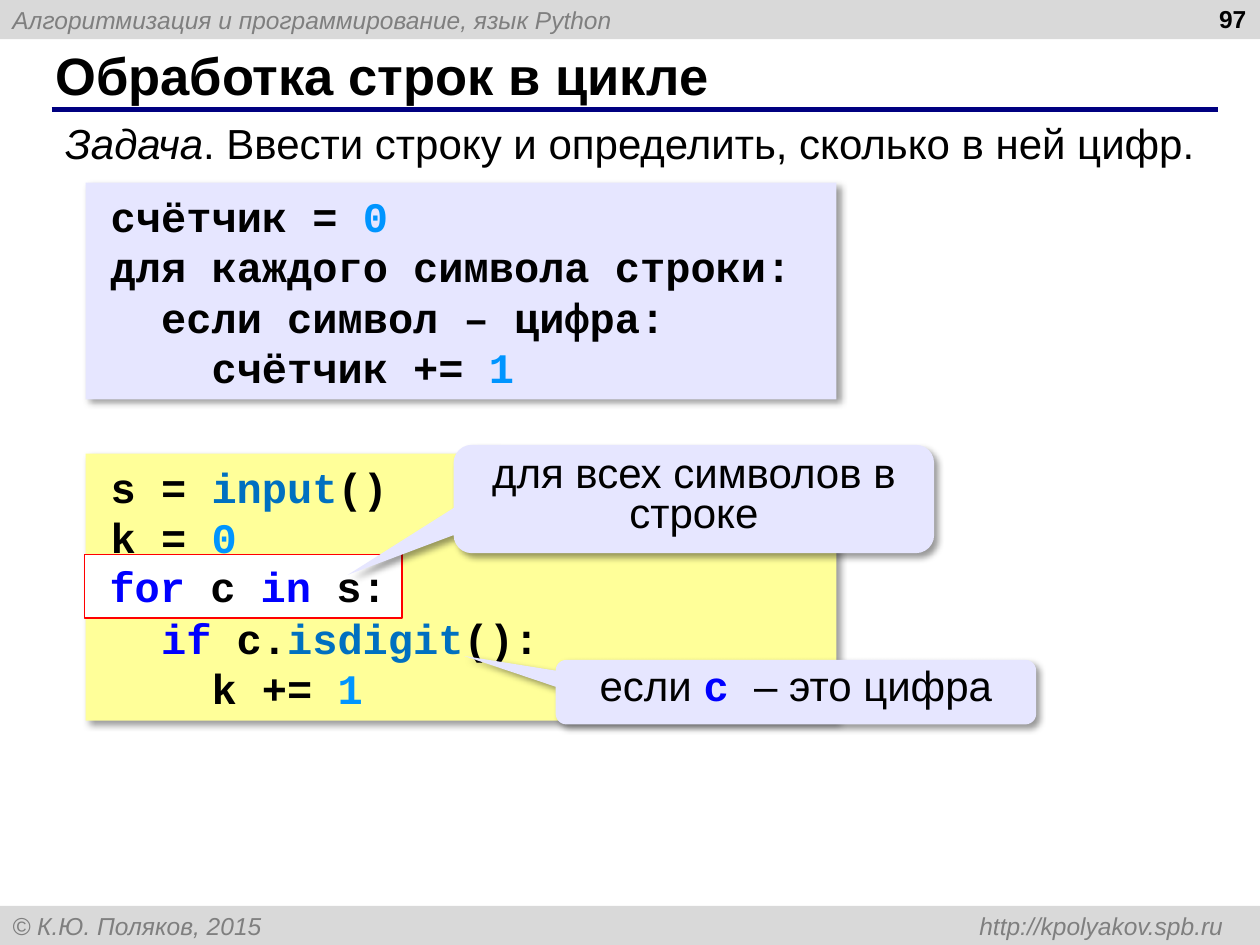
from pptx import Presentation
from pptx.dml.color import RGBColor
from pptx.enum.shapes import MSO_CONNECTOR, MSO_SHAPE as SHAPE
from pptx.enum.text import MSO_ANCHOR as ANCHOR, MSO_AUTO_SIZE as FIT, PP_ALIGN as ALIGN
from pptx.oxml import parse_xml
from pptx.oxml.ns import nsdecls
from pptx.oxml.xmlchemy import OxmlElement
from pptx.util import Pt

BLACK = RGBColor(0, 0, 0)
WHITE = RGBColor(255, 255, 255)
GRAY = RGBColor(0x7F, 0x7F, 0x7F)
BAND = RGBColor(0xD9, 0xD9, 0xD9)
NAVY = RGBColor(0, 0, 0x80)
RED = RGBColor(255, 0, 0)
LILAC = RGBColor(0xE6, 0xE6, 0xFF)
YELLOW = RGBColor(0xFF, 0xFF, 0x99)
KEYWORD = RGBColor(0, 0, 255)
NUMBER = RGBColor(0, 0x95, 0xFF)
FUNCTION = RGBColor(0, 0x70, 0xC0)
SANS, MONO = "Arial", "Courier New"
WIDTH, HEIGHT, BAND_HEIGHT = 720, 540, 22.4


def points(box):
    return [Pt(length) for length in box]


def add_run(paragraph, text, size=24, font=SANS, color=BLACK, bold=False, italic=False):
    run = paragraph.add_run()
    run.text = text
    run.font.size, run.font.name = Pt(size), font
    run.font.bold, run.font.italic = bold, italic
    run.font.color.rgb = color


def set_indent(paragraph, left, first):
    properties = paragraph._p.get_or_add_pPr()
    properties.set("marL", str(Pt(left)))
    properties.set("indent", str(Pt(first)))


def add_shadow(shape):
    shape._element.spPr.append(parse_xml(
        f'<a:effectLst {nsdecls("a")}><a:outerShdw blurRad="{Pt(4)}" dist="{Pt(3)}"'
        ' dir="2700000" algn="tl" rotWithShape="0"><a:srgbClr val="000000">'
        '<a:alpha val="40000"/></a:srgbClr></a:outerShdw></a:effectLst>'))


def add_panel(slide, box, fill, kind=SHAPE.RECTANGLE, anchor=ANCHOR.MIDDLE, shadow=True):
    panel = slide.shapes.add_shape(kind, *points(box))
    panel.fill.solid()
    panel.fill.fore_color.rgb = fill
    panel.line.fill.background()
    if shadow:
        add_shadow(panel)
    else:
        panel.shadow.inherit = False
    panel.text_frame.word_wrap = True
    panel.text_frame.vertical_anchor = anchor
    panel.text_frame.paragraphs[0].alignment = ALIGN.LEFT
    return panel


def add_text_box(slide, box):
    frame = slide.shapes.add_textbox(*points(box)).text_frame
    frame.word_wrap = True
    return frame.paragraphs[0]


def add_band(slide, box, text, right_tab=None):
    paragraph = add_panel(slide, box, BAND, shadow=False).text_frame.paragraphs[0]
    if right_tab:
        tabs, tab = OxmlElement("a:tabLst"), OxmlElement("a:tab")
        tab.set("pos", str(Pt(right_tab)))
        tab.set("algn", "r")
        tabs.append(tab)
        paragraph._p.get_or_add_pPr().append(tabs)
    add_run(paragraph, text, 14, color=GRAY, italic=True)


def add_heading(slide, box, text):
    left, top, width, height = box
    rule = slide.shapes.add_connector(
        MSO_CONNECTOR.STRAIGHT, *points((left + 5, top + 38.8, left + 671.8, top + 38.8)))
    rule.line.color.rgb = NAVY
    rule.line.width = Pt(3)
    rule._element.spPr.append(OxmlElement("a:effectLst"))

    title = slide.shapes.title
    title.left, title.top, title.width, title.height = points(box)
    frame = title.text_frame
    frame.auto_size, frame.vertical_anchor = FIT.NONE, ANCHOR.MIDDLE
    frame.paragraphs[0].alignment = ALIGN.LEFT
    add_run(frame.paragraphs[0], text, 30, bold=True)


def add_page_number(slide, box, number):
    paragraph = add_text_box(slide, box)
    paragraph.alignment = ALIGN.RIGHT
    add_run(paragraph, number, 14, bold=True)


def add_task(slide, box, label, text):
    paragraph = add_text_box(slide, box)
    set_indent(paragraph, 28.8, -28.8)
    add_run(paragraph, label, italic=True)
    add_run(paragraph, text)


def add_code(slide, box, fill, lines, **panel_options):
    """Each line is a list of (text, color) pairs."""
    panel = add_panel(slide, box, fill, **panel_options)
    frame = panel.text_frame
    for index, line in enumerate(lines):
        paragraph = frame.add_paragraph() if index else frame.paragraphs[0]
        paragraph.alignment = ALIGN.LEFT
        set_indent(paragraph, 0, 7.2)
        for text, color in line:
            add_run(paragraph, text, font=MONO, color=color, bold=True)
    return panel


def add_callout(slide, box, tip, runs):
    """The tip is the pointer's offset from the centre, as a share of the box."""
    callout = add_panel(slide, box, LILAC, SHAPE.ROUNDED_RECTANGULAR_CALLOUT, ANCHOR.TOP)
    callout.adjustments[0], callout.adjustments[1] = tip
    paragraph = callout.text_frame.paragraphs[0]
    paragraph.alignment = ALIGN.CENTER
    paragraph.line_spacing = 0.8
    for text, style in runs:
        add_run(paragraph, text, **style)


def build_slide(presentation):
    slide = presentation.slides.add_slide(presentation.slide_layouts[5])

    # Header and footer
    add_band(slide, (0, 0, WIDTH, BAND_HEIGHT),
             "Алгоритмизация и программирование, язык Python")
    add_band(slide, (0, HEIGHT - BAND_HEIGHT, WIDTH, BAND_HEIGHT),
             "© К.Ю. Поляков, 2015 \thttp://kpolyakov.spb.ru", right_tab=692)
    add_heading(slide, (24.5, 23.8, 659.5, 37.4), "Обработка строк в цикле")
    add_page_number(slide, (551.5, -1.4, 167.8, 37.4), "97")

    # Task
    add_task(slide, (30.2, 63.4, 667.4, 36.7), "Задача",
             ". Ввести строку и определить, сколько в ней цифр.")

    # Pseudocode and program
    add_code(slide, (49, 104.4, 429, 123.8), LILAC, [
        [("счётчик = ", BLACK), ("0", NUMBER)],
        [("для каждого символа строки:", BLACK)],
        [("  если символ – цифра:", BLACK)],
        [("    счётчик += ", BLACK), ("1", NUMBER)],
    ])
    add_code(slide, (49, 259.2, 429, 152.6), YELLOW, [
        [("s = ", BLACK), ("input", FUNCTION), ("()", BLACK)],
        [("k = ", BLACK), ("0", NUMBER)],
        [("for c in s:", BLACK)],
        [("  ", BLACK), ("if ", KEYWORD), ("c.", BLACK), ("isdigit", FUNCTION), ("():", BLACK)],
        [("    k += ", BLACK), ("1", NUMBER)],
    ])

    # Highlighted loop header
    loop = add_code(slide, (48.3, 316.9, 181.5, 36.2), WHITE, [
        [("for", KEYWORD), (" c ", BLACK), ("in", KEYWORD), (" s:", BLACK)],
    ], anchor=ANCHOR.TOP, shadow=False)
    loop.text_frame.word_wrap = False
    loop.line.color.rgb = RED
    loop.line.width = Pt(0.75)

    # Explanations
    add_callout(slide, (259.2, 254.2, 274.6, 61.9), (-0.72, 0.7),
                [("для всех символов в строке", {})])
    add_callout(slide, (317.5, 377.1, 274.6, 36.9), (-0.69, -0.56), [
        ("если ", {}),
        ("c ", {"font": MONO, "color": KEYWORD, "bold": True}),
        ("– это цифра", {}),
    ])


def main():
    presentation = Presentation()
    presentation.slide_width, presentation.slide_height = Pt(WIDTH), Pt(HEIGHT)
    build_slide(presentation)
    presentation.save("out.pptx")


if __name__ == "__main__":
    main()
